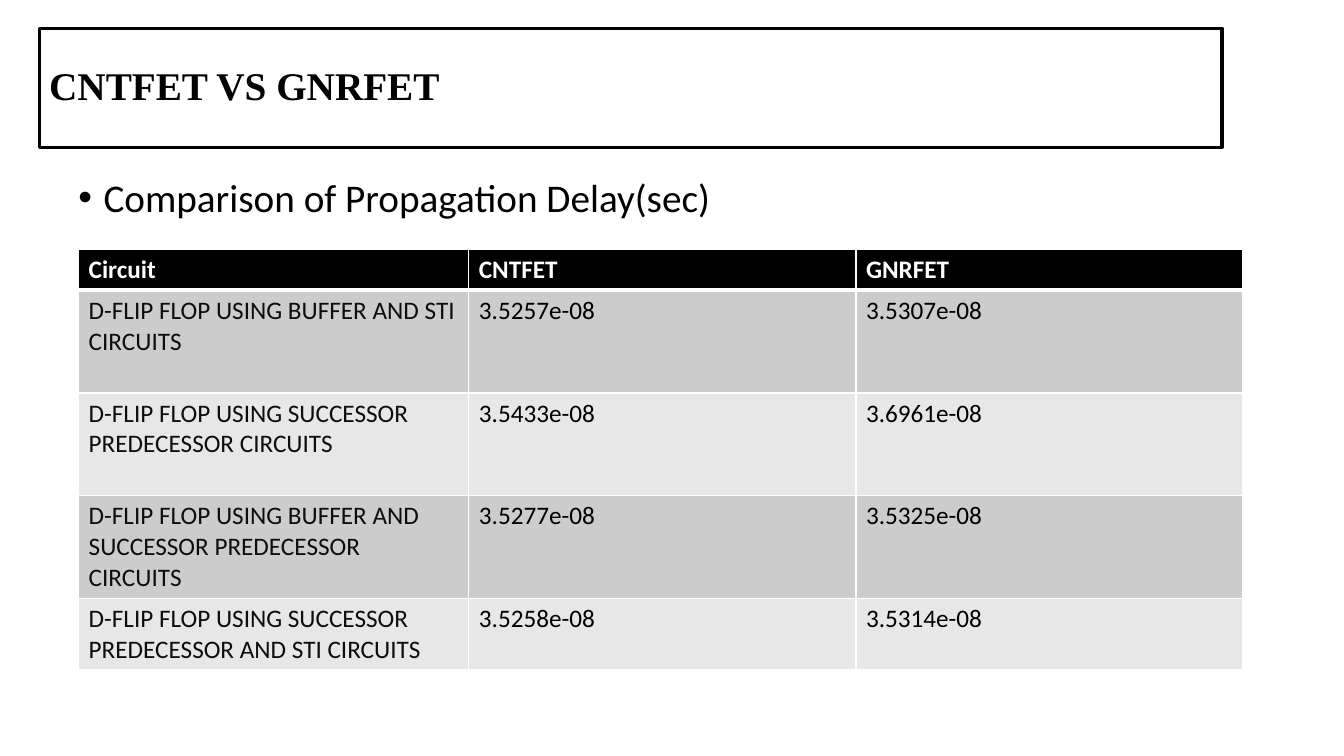
from lxml.etree import SubElement
from pptx import Presentation
from pptx.dml.color import RGBColor
from pptx.enum.shapes import MSO_SHAPE as Shape
from pptx.enum.text import MSO_ANCHOR as Anchor, PP_ALIGN as Align
from pptx.oxml.ns import qn
from pptx.util import Inches, Pt

COLORS = {
    "black": "000000",
    "white": "FFFFFF",
    "circuit": "0D0D0D",
    "band_dark": "CCCCCC",
    "band_light": "E7E7E7",
}
HEADER = ("Circuit", "CNTFET", "GNRFET")
DELAYS = (
    ("D-FLIP FLOP USING BUFFER AND STI CIRCUITS", "3.5257e-08", "3.5307e-08"),
    ("D-FLIP FLOP USING SUCCESSOR PREDECESSOR CIRCUITS", "3.5433e-08", "3.6961e-08"),
    ("D-FLIP FLOP USING BUFFER AND SUCCESSOR PREDECESSOR CIRCUITS",
     "3.5277e-08", "3.5325e-08"),
    ("D-FLIP FLOP USING SUCCESSOR PREDECESSOR AND STI CIRCUITS",
     "3.5258e-08", "3.5314e-08"),
)
COLUMN_WIDTHS = (3.87, 3.84, 3.83)
ROW_HEIGHTS = (0.41, 1.02, 1.02, 1.02, 0.7)


def color(name):
    return RGBColor.from_string(COLORS[name])


def set_font(paragraph, name, size, color_name, bold=False):
    font = paragraph.font
    font.name, font.size, font.bold = name, Pt(size), bold
    font.color.rgb = color(color_name)


def add_title(slide, left, top, width, height):
    box = slide.shapes.add_shape(
        Shape.RECTANGLE, Inches(left), Inches(top), Inches(width), Inches(height))
    box.shadow.inherit = False
    box.fill.background()
    box.line.color.rgb = color("black")
    box.line.width = Pt(2.25)
    box.text_frame.vertical_anchor = Anchor.MIDDLE
    paragraph = box.text_frame.paragraphs[0]
    paragraph.text = "CNTFET VS GNRFET"
    paragraph.alignment = Align.LEFT
    paragraph.line_spacing = 0.9
    set_font(paragraph, "Times New Roman", 28, "black", bold=True)


def add_bullet_line(slide, left, top, width, height):
    box = slide.shapes.add_textbox(
        Inches(left), Inches(top), Inches(width), Inches(height))
    box.text_frame.word_wrap = True
    paragraph = box.text_frame.paragraphs[0]
    paragraph.text = "Comparison of Propagation Delay(sec)"
    paragraph.line_spacing = 0.9
    set_font(paragraph, "Calibri", 28, "black")
    # Hanging bullet
    properties = paragraph._p.get_or_add_pPr()
    properties.set("marL", str(Inches(0.25)))
    properties.set("indent", str(Inches(-0.25)))
    bullet_font = properties.makeelement(qn("a:buFont"), {"typeface": "Arial"})
    bullet = properties.makeelement(qn("a:buChar"), {"char": "•"})
    spacing = properties.find(qn("a:lnSpc"))
    spacing.addnext(bullet_font)
    bullet_font.addnext(bullet)


def set_borders(cell, top, bottom):
    properties = cell._tc.get_or_add_tcPr()
    for side, width in (("L", 1), ("R", 1), ("T", top), ("B", bottom)):
        line = SubElement(properties, qn(f"a:ln{side}"), w=str(Pt(width)))
        fill = SubElement(line, qn("a:solidFill"))
        SubElement(fill, qn("a:srgbClr"), val=COLORS["white"])


def add_delay_table(slide, left, top):
    rows = (HEADER,) + DELAYS
    table = slide.shapes.add_table(
        len(rows), len(HEADER), Inches(left), Inches(top),
        Inches(sum(COLUMN_WIDTHS)), Inches(sum(ROW_HEIGHTS))).table
    for column, width in zip(table.columns, COLUMN_WIDTHS):
        column.width = Inches(width)
    for row, height in zip(table.rows, ROW_HEIGHTS):
        row.height = Inches(height)

    for row_index, values in enumerate(rows):
        is_header = row_index == 0
        band = "band_dark" if row_index % 2 else "band_light"
        for column_index, value in enumerate(values):
            cell = table.cell(row_index, column_index)
            # The rule under the header is thicker
            set_borders(cell, 3 if row_index == 1 else 1, 3 if is_header else 1)
            cell.fill.solid()
            cell.fill.fore_color.rgb = color("black" if is_header else band)
            if is_header:
                text_color = "white"
            else:
                text_color = "black" if column_index else "circuit"
            paragraph = cell.text_frame.paragraphs[0]
            paragraph.text = value
            set_font(paragraph, "Calibri", 18, text_color, bold=is_header)


def main():
    presentation = Presentation()
    presentation.slide_width = Inches(13.33)
    presentation.slide_height = Inches(7.5)
    slide = presentation.slides.add_slide(presentation.slide_layouts[6])
    add_title(slide, 0.39, 0.28, 11.73, 1.18)
    add_bullet_line(slide, 0.68, 1.72, 11.73, 0.57)
    add_delay_table(slide, 0.78, 2.47)
    presentation.save("out.pptx")


if __name__ == "__main__":
    main()
